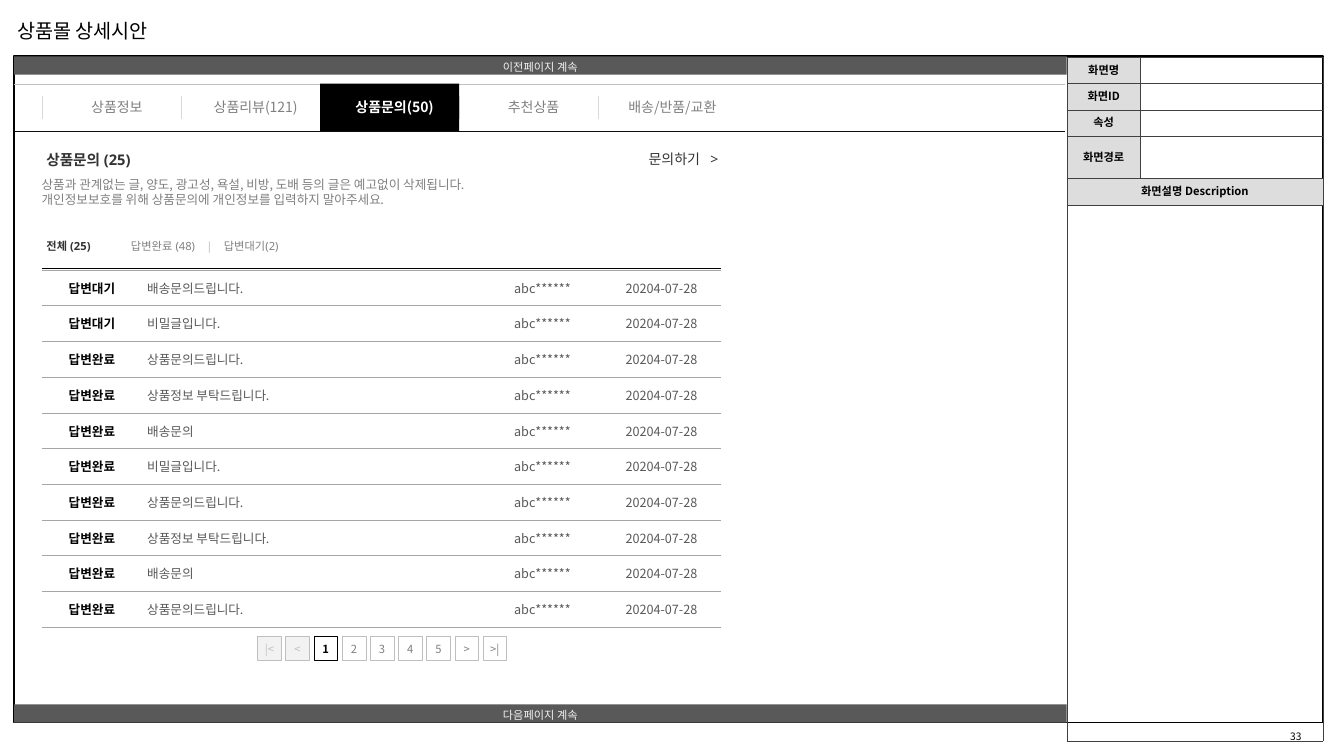
"""Builds the product inquiry storyboard slide."""
from dataclasses import dataclass
from typing import Any, Optional

from lxml import etree
from pptx import Presentation
from pptx import util as u
from pptx.dml.color import RGBColor
from pptx.enum import shapes, text
from pptx.oxml.ns import qn

ALIGN, ANCHOR = text.PP_ALIGN, text.MSO_ANCHOR


@dataclass(frozen=True)
class Theme:
    cjk: str = "Noto Sans CJK KR"
    sans: str = "Noto Sans"
    black: str = "000000"
    ink: str = "333333"
    header_border: str = "404040"
    band: str = "595959"
    muted: str = "808080"
    row_border: str = "A6A6A6"
    pale: str = "BFBFBF"
    separator: str = "D9D9D9"
    header: str = "DDDDDD"
    disabled: str = "F2F2F2"
    white: str = "FFFFFF"
    tab_rule: str = "0D0D0D"
    title: float = 14
    heading: float = 10.5
    tab: float = 10
    body: float = 9
    small: float = 8
    number: float = 7.3


THEME = Theme()


@dataclass(frozen=True)
class Style:
    size: float
    color: str
    bold: bool = False
    font: str = THEME.cjk
    align: ALIGN = ALIGN.LEFT
    anchor: ANCHOR = ANCHOR.MIDDLE
    padding: tuple[float, ...] = (0.25, 0.13, 0.25, 0.13)
    spacing: Any = None
    tabs: tuple[float, ...] = ()


@dataclass(frozen=True)
class Label:
    content: str
    at: tuple[float, float, float, float]
    style: Style
    fill: Optional[str] = None
    line: Optional[str] = None


@dataclass(frozen=True)
class Rule:
    start: tuple[float, float]
    end: tuple[float, float]
    color: str
    width: float = 0.25


def rgb(color: str) -> RGBColor:
    return RGBColor.from_string(color)


def write(holder: Any, frame: Any, content: str, style: Style) -> None:
    holder.margin_left, holder.margin_top, holder.margin_right, holder.margin_bottom = map(u.Cm, style.padding)
    holder.vertical_anchor = style.anchor
    frame.text = content
    for para in frame.paragraphs:
        para.alignment = style.align
        if style.spacing:
            para.line_spacing = style.spacing
        if style.tabs:
            stops = etree.SubElement(para._p.get_or_add_pPr(), qn("a:tabLst"))
            for stop in style.tabs:
                etree.SubElement(stops, qn("a:tab"), pos=str(u.Cm(stop)), algn="l")
        font = para.font
        font.size, font.bold, font.name = u.Pt(style.size), style.bold, style.font
        font.color.rgb = rgb(style.color)
        etree.SubElement(font._rPr, qn("a:ea"), typeface=style.font)
        if not content:
            etree.SubElement(para._p, qn("a:endParaRPr"), sz=str(int(style.size * 100)))


def add_label(page: Any, label: Label) -> Any:
    at = map(u.Cm, label.at)
    if label.fill or label.line:
        box = page.shapes.add_shape(shapes.MSO_SHAPE.RECTANGLE, *at)
        box.shadow.inherit = False
        if label.fill:
            box.fill.solid()
            box.fill.fore_color.rgb = rgb(label.fill)
        else:
            box.fill.background()
        if label.line:
            box.line.color.rgb = rgb(label.line)
            box.line.width = u.Pt(0.25)
        else:
            box.line.fill.background()
    else:
        box = page.shapes.add_textbox(*at)
    box.text_frame.word_wrap = True
    write(box.text_frame, box.text_frame, label.content, label.style)
    return box


def add_rule(page: Any, rule: Rule) -> None:
    ends = map(u.Cm, rule.start + rule.end)
    line = page.shapes.add_connector(shapes.MSO_CONNECTOR.STRAIGHT, *ends)
    line.line.color.rgb = rgb(rule.color)
    line.line.width = u.Pt(rule.width)
    etree.SubElement(line._element.spPr, qn("a:effectLst"))


def add_grid(page: Any, left: float, top: float, widths: list[float], heights: list[float]) -> Any:
    size = map(u.Cm, (left, top, sum(widths), sum(heights)))
    table = page.shapes.add_table(len(heights), len(widths), *size).table
    table.first_row = table.horz_banding = False
    for column, width in zip(table.columns, widths):
        column.width = u.Cm(width)
    for row, height in zip(table.rows, heights):
        row.height = u.Cm(height)
    return table


def fill_cell(cell: Any, content: str, style: Style, sides: str, border: str, width: float,
              fill: Optional[str] = None) -> None:
    write(cell, cell.text_frame, content, style)
    properties = cell._tc.get_or_add_tcPr()
    for side in "LRTB":
        edge = etree.SubElement(properties, qn(f"a:ln{side}"), w=str(u.Pt(width)))
        if side in sides:
            paint = etree.SubElement(edge, qn("a:solidFill"))
            etree.SubElement(paint, qn("a:srgbClr"), val=border)
        else:
            etree.SubElement(edge, qn("a:noFill"))
    if fill:
        cell.fill.solid()
        cell.fill.fore_color.rgb = rgb(fill)
    else:
        cell.fill.background()


def add_description(page: Any) -> None:
    table = add_grid(page, 26.89, 1.45, [1.85, 4.6], [0.66, 0.66, 0.66, 1.06, 0.68, 13.5])
    style = Style(THEME.small, THEME.black, True, align=ALIGN.CENTER, padding=(0.1,) * 4, spacing=0.8)
    names = ["화면명", "화면ID", "속성", "화면경로", "화면설명 Description", ""]
    for index, name in enumerate(names):
        for column, content in enumerate((name, "")):
            fill = THEME.header if content else None
            fill_cell(table.cell(index, column), content, style, "LRTB", THEME.header_border, 0.5, fill)
    for index in (4, 5):
        table.cell(index, 0).merge(table.cell(index, 1))


def add_inquiries(page: Any) -> None:
    subjects = ["배송문의드립니다.", "비밀글입니다.", "상품문의드립니다.", "상품정보 부탁드립니다.", "배송문의",
                "비밀글입니다.", "상품문의드립니다.", "상품정보 부탁드립니다.", "배송문의", "상품문의드립니다."]
    table = add_grid(page, 1.07, 6.8, [2.39, 8.71, 3, 3], [0.9] * len(subjects))
    padding = (0.25, 0.15, 0.25, 0.15)
    status = Style(THEME.body, THEME.black, True, align=ALIGN.CENTER, padding=(0.1, 0, 0, 0))
    subject_style = Style(THEME.body, THEME.band, padding=padding)
    detail = Style(THEME.body, THEME.band, align=ALIGN.CENTER, padding=padding)
    for index, subject in enumerate(subjects):
        state = "답변대기" if index < 2 else "답변완료"
        contents = (state, subject, "abc******", "20204-07-28")
        for column, (content, style) in enumerate(zip(contents, (status, subject_style, detail, detail))):
            fill_cell(table.cell(index, column), content, style, "TB", THEME.row_border, 0.25)


def add_tabs(page: Any) -> None:
    add_rule(page, Rule((0.36, 2.11), (26.85, 2.11), THEME.pale))
    names = ["상품정보", "상품리뷰(121)", "상품문의(50)", "추천상품", "배송/반품/교환"]
    active = 2
    for index in sorted(range(len(names)), key=lambda position: position == active):
        chosen, left = index == active, 1.07 + 3.5 * index
        style = Style(THEME.tab, THEME.white if chosen else THEME.muted, chosen, align=ALIGN.CENTER,
                      padding=(0.5, 0.13, 0.25, 0.13))
        if not chosen:
            add_rule(page, Rule((left, 2.41), (left, 3), THEME.separator, 0.5))
        add_label(page, Label(names[index], (left, 2.11, 3.5, 1.19), style, THEME.black if chosen else None))
    add_rule(page, Rule((0.36, 3.3), (26.85, 3.3), THEME.tab_rule))


def add_pager(page: Any) -> None:
    for index, mark in enumerate(["|<", "<", "1", "2", "3", "4", "5", ">", ">|"]):
        current, off = mark == "1", index < 2
        color = THEME.black if current else THEME.pale if off else THEME.muted
        style = Style(THEME.small, color, current, align=ALIGN.CENTER, padding=(0,) * 4)
        add_label(page, Label(mark, (6.49 + 0.71 * index, 16.04, 0.6, 0.61), style,
                              THEME.disabled if off else THEME.white, THEME.black if current else THEME.pale))


def add_texts(page: Any) -> None:
    padding = (0.1, 0.13, 0.25, 0.13)
    heading = Style(THEME.heading, THEME.ink, True, THEME.sans, anchor=ANCHOR.TOP, padding=padding)
    total = Style(THEME.small, THEME.ink, True, THEME.sans, anchor=ANCHOR.TOP, padding=padding)
    ask = Style(THEME.tab, THEME.ink, False, THEME.sans, anchor=ANCHOR.TOP, padding=(0.9, 0.13, 0, 0.13), tabs=(1.55,))
    filters = Style(THEME.small, THEME.muted, False, THEME.sans, anchor=ANCHOR.TOP, padding=padding, tabs=(1.9, 2.34))
    notice = Style(THEME.body, THEME.muted, anchor=ANCHOR.TOP)
    number = Style(THEME.number, THEME.black, align=ALIGN.CENTER, padding=(0.2, 0.1, 0.2, 0.1))
    for label in (
        Label("상품문의 (25)", (1.07, 3.68, 2.92, 0.71), heading),
        Label("전체 (25)", (1.07, 5.9, 2.92, 0.61), total),
        Label("문의하기\t>", (15.45, 3.66, 2.92, 0.71), ask),
        Label("상품과 관계없는 글, 양도, 광고성, 욕설, 비방, 도배 등의 글은 예고없이 삭제됩니다.\n"
              "개인정보보호를 위해 상품문의에 개인정보를 입력하지 말아주세요.", (0.8, 4.32, 16.94, 1.02), notice),
        Label("33", (31.78, 18.06, 1.75, 0.99), number),
    ):
        add_label(page, label)
    box = add_label(page, Label("답변완료 (48)\t", (3.2, 5.9, 4.78, 0.61), filters))
    para = box.text_frame.paragraphs[0]
    divider, waiting = para.add_run(), para.add_run()
    divider.text, waiting.text = "|", "\t답변대기(2)"
    divider.font.color.rgb = rgb(THEME.pale)


def main() -> None:
    deck = Presentation()
    deck.slide_width, deck.slide_height = u.Cm(33.87), u.Cm(19.05)
    page = deck.slides.add_slide(deck.slide_layouts[5])
    title = page.shapes.title
    title.left, title.top, title.width, title.height = map(u.Cm, (0.18, 0.34, 4.06, 0.86))
    title.text_frame.auto_size = text.MSO_AUTO_SIZE.NONE
    write(title.text_frame, title.text_frame, "상품몰 상세시안", Style(THEME.title, THEME.black, anchor=ANCHOR.TOP))
    plain = Style(THEME.small, THEME.black)
    frame = add_label(page, Label("", (0.36, 1.42, 32.99, 16.79), plain, line=THEME.black))
    frame.line.width = u.Pt(1.3)
    add_description(page)
    band = Style(THEME.small, THEME.disabled, align=ALIGN.CENTER, padding=(0.25, 0.13, 0.25, 0.15), spacing=u.Pt(12))
    for content, top in (("다음페이지 계속", 17.75), ("이전페이지 계속", 1.42)):
        add_label(page, Label(content, (0.36, top, 26.52, 0.46), band, THEME.band))
    add_tabs(page)
    add_texts(page)
    add_inquiries(page)
    add_rule(page, Rule((1.07, 6.76), (18.16, 6.76), THEME.black, 0.5))
    add_pager(page)
    deck.save("out.pptx")


if __name__ == "__main__":
    main()
